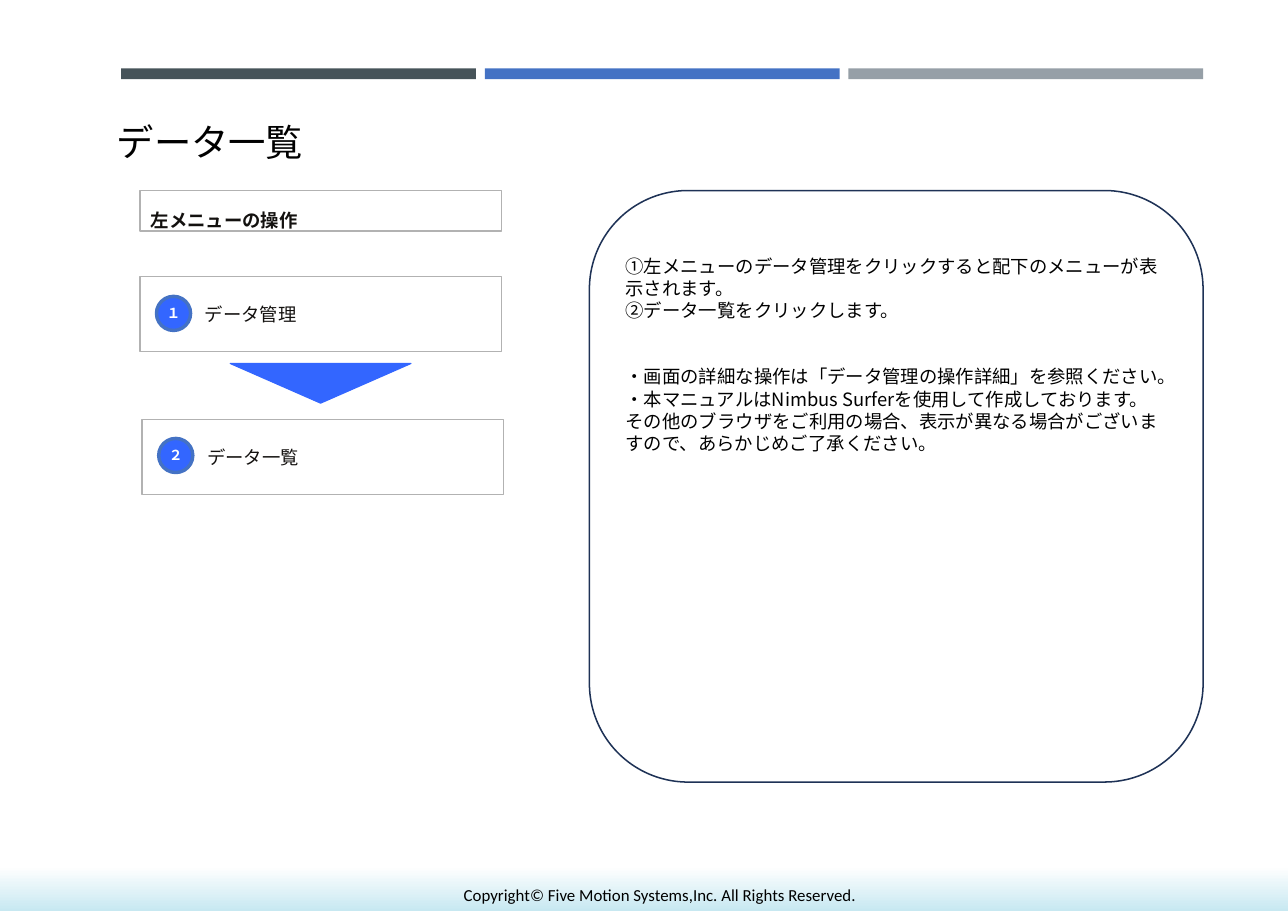
from lxml import etree
from pptx import Presentation
from pptx.dml.color import RGBColor
from pptx.enum.shapes import MSO_SHAPE
from pptx.enum.text import MSO_ANCHOR, PP_ALIGN
from pptx.oxml.ns import qn
from pptx.util import Inches, Pt

RECT = MSO_SHAPE.RECTANGLE
OVAL = MSO_SHAPE.OVAL
ROUND = MSO_SHAPE.ROUNDED_RECTANGLE
WEDGE = MSO_SHAPE.ISOSCELES_TRIANGLE
TOP, MIDDLE, BOTTOM = MSO_ANCHOR.TOP, MSO_ANCHOR.MIDDLE, MSO_ANCHOR.BOTTOM
LEFT, CENTER = PP_ALIGN.LEFT, PP_ALIGN.CENTER

BLACK = RGBColor(0x00, 0x00, 0x00)
WHITE = RGBColor(0xFF, 0xFF, 0xFF)
INK = RGBColor(0x13, 0x11, 0x0F)
SLATE = RGBColor(0x46, 0x53, 0x59)
STEEL = RGBColor(0x96, 0x9F, 0xA7)
BLUE = RGBColor(0x44, 0x72, 0xC4)
BRIGHT = RGBColor(0x33, 0x66, 0xFF)
SILVER = RGBColor(0xB2, 0xB2, 0xB2)
NAVY = RGBColor(0x1E, 0x32, 0x56)
PALE = RGBColor(0xC7, 0xE8, 0xF1)
SANS = "Noto Sans CJK JP"


def draw(kind, box, fill=None, line=None, width=1):
    shape = slide.shapes.add_shape(kind, *map(Inches, box))
    shape.shadow.inherit = False
    if fill is None:
        shape.fill.background()
    else:
        shape.fill.solid()
        shape.fill.fore_color.rgb = fill
    if line is None:
        shape.line.fill.background()
    else:
        shape.line.color.rgb = line
        shape.line.width = Pt(width)
    return shape


def write(shape, lines, size, color=BLACK, face=SANS, bold=False, align=LEFT,
          lead=None, gaps=None, **frame):
    text = shape.text_frame
    look = {"word_wrap": True, "vertical_anchor": MIDDLE} | frame
    for key, value in look.items():
        setattr(text, key, value)
    for num, words in enumerate(lines):
        para = text.paragraphs[0] if num == 0 else text.add_paragraph()
        para.alignment = align
        para.space_before = Pt((gaps or {}).get(num, 0))
        if lead:
            para.line_spacing = Pt(lead)
        run = para.add_run()
        run.text = words
        for key, value in {"name": face, "size": Pt(size), "bold": bold}.items():
            setattr(run.font, key, value)
        run.font.color.rgb = color
        east = etree.SubElement(run.font._element, qn("a:ea"))
        east.set("typeface", SANS)


deck = Presentation()
deck.slide_width, deck.slide_height = Inches(11.69), Inches(8.27)
slide = deck.slides.add_slide(deck.slide_layouts[5])

foot = draw(RECT, (0, 7.65, 11.69, 0.62), WHITE)
foot.fill.gradient()
foot.fill.gradient_angle = 270
for stop, spot, color in zip(foot.fill.gradient_stops, (0.35, 1), (WHITE, PALE)):
    stop.position = spot
    stop.color.rgb = color

for col, color in enumerate((SLATE, BLUE, STEEL)):
    draw(RECT, (1.1 + 3.3 * col, 0.62, 3.22, 0.1), color)

rights = slide.shapes.add_textbox(*map(Inches, (4.11, 7.98, 3.79, 0.29)))
write(rights, ["Copyright© Five Motion Systems,Inc. All Rights Reserved."], 11,
      face="Calibri", word_wrap=False)

title = slide.shapes.title
title.left, title.top, title.width, title.height = map(Inches, (0.96, 1.03, 4.62, 0.51))
write(title, ["データ一覧"], 24.4)

head = draw(RECT, (1.27, 1.73, 3.28, 0.37), line=SILVER)
write(head, ["左メニューの操作"], 12, INK, bold=True, lead=14.4,
      vertical_anchor=BOTTOM, margin_bottom=0)

steps = [("１", "データ管理", 1.27, 2.51, 0.18), ("２", "データ一覧", 1.29, 3.81, 0.17)]
for mark, name, left, top, drop in steps:
    card = draw(RECT, (left, top, 3.28, 0.68), line=SILVER)
    write(card, [name], 12, INK, margin_left=Inches(0.59))
    dot = draw(OVAL, (left + 0.15, top + drop, 0.31, 0.31), BRIGHT, BLUE, 2.25)
    write(dot, [mark], 9, WHITE, "Times New Roman", True, CENTER, word_wrap=False,
          margin_left=0, margin_right=0, margin_top=0, margin_bottom=0)

arrow = draw(WEDGE, (2.09, 3.3, 1.64, 0.36), BRIGHT, BRIGHT, 0.75)
arrow.rotation = 180

draw(ROUND, (5.35, 1.73, 5.57, 5.37), line=NAVY)
guide = slide.shapes.add_textbox(*map(Inches, (5.58, 2.27, 5.05, 1.92)))
notes = [
    "①左メニューのデータ管理をクリックすると配下のメニューが表示されます。",
    "②データ一覧をクリックします。",
    "・画面の詳細な操作は「データ管理の操作詳細」を参照ください。",
    "・本マニュアルはNimbus Surferを使用して作成しております。"
    "その他のブラウザをご利用の場合、表示が異なる場合がございますので、"
    "あらかじめご了承ください。",
]
write(guide, notes, 12, lead=14.4, gaps={2: 28.8}, vertical_anchor=TOP)

deck.save("out.pptx")
